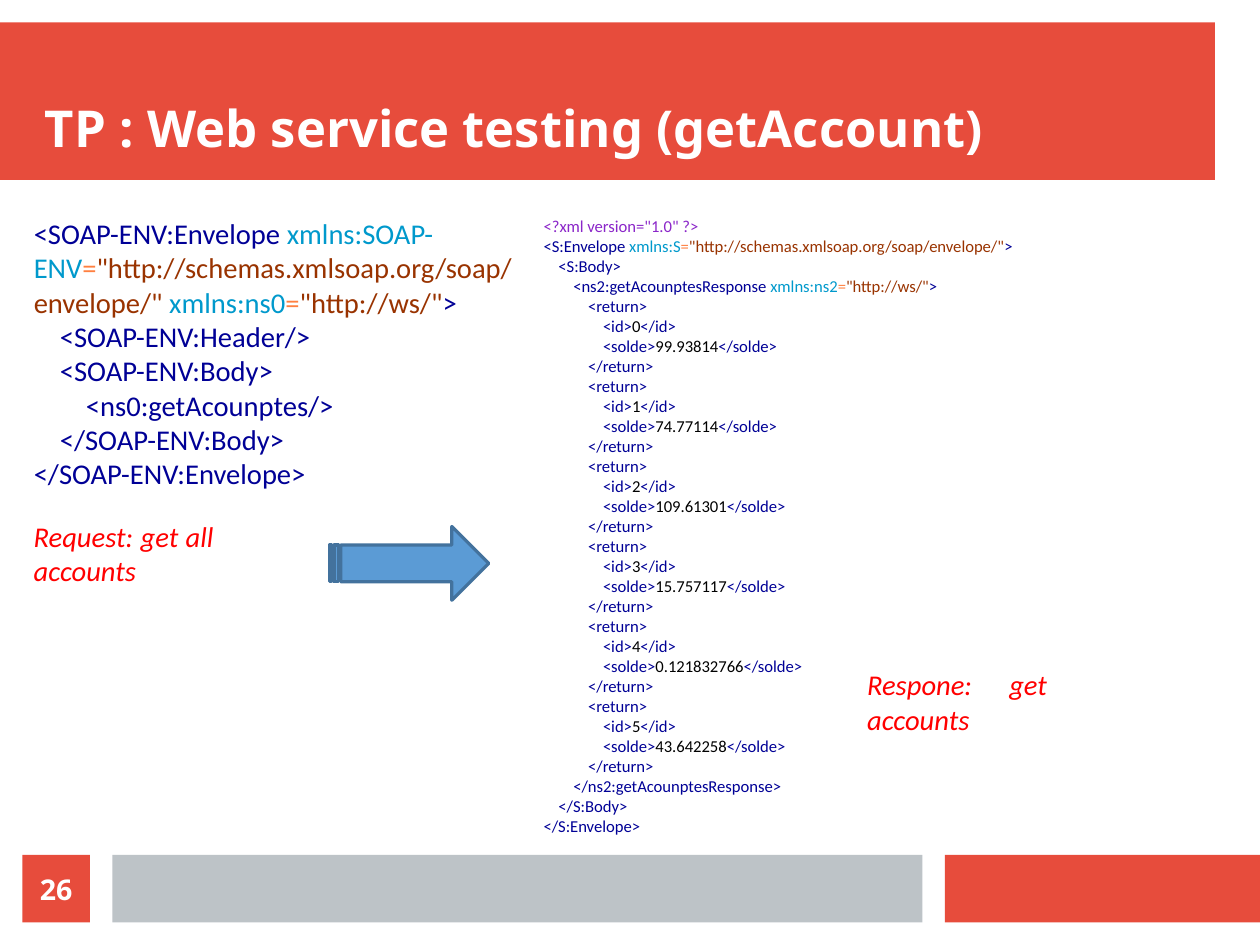
"""Build the slide on testing the getAccount web service."""
from pptx import Presentation
from pptx.dml.color import RGBColor
from pptx.enum.shapes import MSO_SHAPE
from pptx.enum.text import MSO_ANCHOR, MSO_AUTO_SIZE, PP_ALIGN
from pptx.oxml.ns import qn
from pptx.util import Cm, Pt

RECT, ARROW = MSO_SHAPE.RECTANGLE, MSO_SHAPE.STRIPED_RIGHT_ARROW
LEFT, MID, JUST = PP_ALIGN.LEFT, PP_ALIGN.CENTER, PP_ALIGN.JUSTIFY
TOP, CENTER, LOW = MSO_ANCHOR.TOP, MSO_ANCHOR.MIDDLE, MSO_ANCHOR.BOTTOM
FIXED = MSO_AUTO_SIZE.NONE

RED, GRAY, WHITE = "E74C3C", "BDC3C7", "FFFFFF"
TAG, NAME, EQUAL, VALUE = "000096", "0099CC", "FF8040", "993300"
DATA, PROLOG, NOTE = "000000", "8B26C9", "FF0000"

HEAD = {"name": "Noto Sans", "size": Pt(32), "bold": True, "italic": False}
PAGE = {**HEAD, "size": Pt(18)}
CODE = {"name": "Calibri", "size": Pt(18), "bold": False, "italic": False}
SMALL = {**CODE, "size": Pt(10.5)}
LABEL = {**CODE, "italic": True}


def paint(target, color):
    target.rgb = RGBColor.from_string(color)


def write(shape, lines, look, align=LEFT, anchor=TOP, pad=(0.25, 0.13), step=0):
    frame = shape.text_frame
    side, edge = map(Cm, pad)
    form = {"word_wrap": True, "auto_size": FIXED, "vertical_anchor": anchor,
            "margin_left": side, "margin_right": side,
            "margin_top": edge, "margin_bottom": edge}
    for key, value in form.items():
        setattr(frame, key, value)
    for row, (level, parts) in enumerate(lines):
        para = frame.add_paragraph() if row else frame.paragraphs[0]
        rule = {"alignment": align, "space_before": Pt(0), "space_after": Pt(0),
                "line_spacing": 1.0}
        for key, value in rule.items():
            setattr(para, key, value)
        props = para._p.get_or_add_pPr()
        props.set("marL", str(Cm(step * level)))
        props.set("indent", "0")
        props.append(props.makeelement(qn("a:buNone"), {}))
        for text, color in parts:
            run = para.add_run()
            run.text = text
            for key, value in look.items():
                setattr(run.font, key, value)
            paint(run.font.color, color)


deck = Presentation()
deck.slide_width, deck.slide_height = Cm(28), Cm(21)
slide = deck.slides.add_slide(deck.slide_layouts[3])
title, ask, reply = slide.placeholders
tree = title.element.getparent()

bars = [
    (RECT, 0, 0.5, 27, 3.5, RED),
    (RECT, 21, 19, 7, 1.5, RED),
    (RECT, 2.5, 19, 18, 1.5, GRAY),
    (ARROW, 7.32, 11.7, 3.54, 1.64, "5B9BD5"),
    (RECT, 0.5, 19, 1.5, 1.5, RED),
]
for kind, left, top, width, height, color in bars:
    shape = slide.shapes.add_shape(kind, Cm(left), Cm(top), Cm(width), Cm(height))
    shape.shadow.inherit = False
    shape.fill.solid()
    paint(shape.fill.fore_color, color)
    if kind == ARROW:
        paint(shape.line.color, "43729D")
        shape.line.width = Pt(2)
    else:
        shape.line.fill.background()
write(shape, [(0, [("26", WHITE)])], PAGE, MID, CENTER, (0, 0))

places = [
    (title, 1, 1, 26, 2.5),
    (ask, 0.5, 4.67, 11.33, 7.1),
    (reply, 11.83, 4.67, 14.02, 14.46),
]
for holder, *box in places:
    holder.left, holder.top, holder.width, holder.height = map(Cm, box)
    tree.append(holder.element)
write(title, [(0, [("TP : Web service testing (getAccount)", WHITE)])],
      HEAD, anchor=LOW, pad=(0, 0))

soap = '"http://schemas.xmlsoap.org/soap/envelope/"'
space = '"http://ws/"'
sent = [
    (0, [("<SOAP-ENV:Envelope ", TAG), ("xmlns:SOAP-ENV", NAME), ("=", EQUAL),
         (soap, VALUE), (" xmlns:ns0", NAME), ("=", EQUAL), (space, VALUE),
         (">", TAG)]),
    (1, [("<SOAP-ENV:Header/>", TAG)]),
    (1, [("<SOAP-ENV:Body>", TAG)]),
    (2, [("<ns0:getAcounptes/>", TAG)]),
    (1, [("</SOAP-ENV:Body>", TAG)]),
    (0, [("</SOAP-ENV:Envelope>", TAG)]),
]
write(ask, sent, CODE, step=0.58)

funds = ["99.93814", "74.77114", "109.61301", "15.757117", "0.121832766", "43.642258"]
got = [
    (0, [('<?xml version="1.0" ?>', PROLOG)]),
    (0, [("<S:Envelope ", TAG), ("xmlns:S", NAME), ("=", EQUAL), (soap, VALUE),
         (">", TAG)]),
    (1, [("<S:Body>", TAG)]),
    (2, [("<ns2:getAcounptesResponse ", TAG), ("xmlns:ns2", NAME), ("=", EQUAL),
         (space, VALUE), (">", TAG)]),
]
for num, fund in enumerate(funds):
    got += [
        (3, [("<return>", TAG)]),
        (4, [("<id>", TAG), (str(num), DATA), ("</id>", TAG)]),
        (4, [("<solde>", TAG), (fund, DATA), ("</solde>", TAG)]),
        (3, [("</return>", TAG)]),
    ]
got += [
    (2, [("</ns2:getAcounptesResponse>", TAG)]),
    (1, [("</S:Body>", TAG)]),
    (0, [("</S:Envelope>", TAG)]),
]
write(reply, got, SMALL, step=0.33)

notes = [("Request: get all accounts", 0.5, 11.4), ("Respone: get accounts", 19.02, 14.7)]
for text, left, top in notes:
    note = slide.shapes.add_textbox(Cm(left), Cm(top), Cm(4.5), Cm(1.78))
    write(note, [(0, [(text, NOTE)])], LABEL, JUST)

deck.save("out.pptx")
